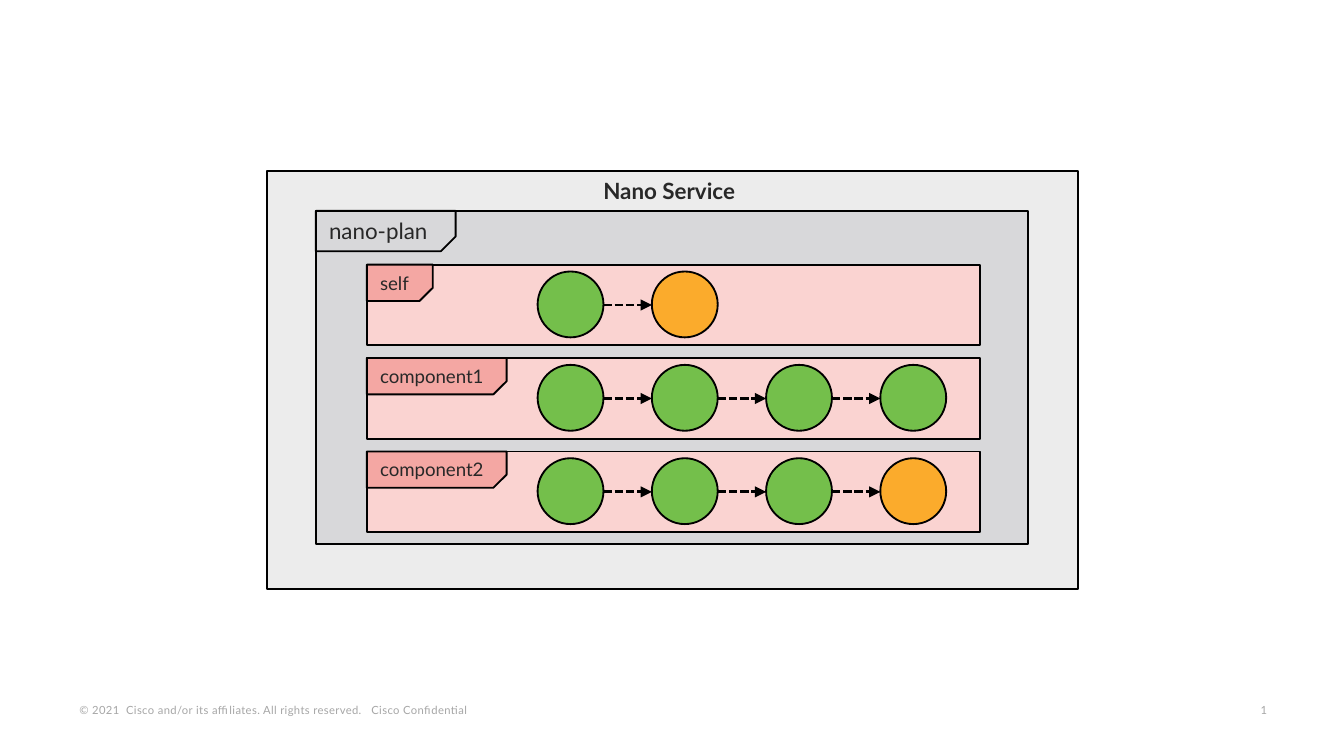
from pptx import Presentation
from pptx import util as u
from pptx.dml.color import RGBColor
from pptx.enum import dml, shapes, text
from pptx.oxml.ns import qn
from lxml import etree

COLORS = {
    "ink": "282828", "line": "000000", "footer": "A6A6A6",
    "service": "ECECEC", "plan": "D8D8DA", "row": "FAD3D1", "tab": "F4A7A3",
    "done": "74BF4B", "waiting": "FBAB2C",
}
FONT = "Lato"
SNIP = 0.364
ROW_HEIGHT, ROW_PITCH = 0.6, 1.39 / 2
CIRCLE, CIRCLE_PITCH = 0.49, 0.85
COMPONENTS = [
    ("self", 0.49, ["done", "waiting"]),
    ("component1", 1.04, ["done"] * 4),
    ("component2", 1.04, ["done"] * 3 + ["waiting"]),
]


def color(name):
    return RGBColor.from_string(COLORS[name])


def add_shape(page, kind, left, top, width, height, fill=None):
    shape = page.shapes.add_shape(kind, *map(u.Inches, (left, top, width, height)))
    shape.shadow.inherit = False
    if fill:
        shape.fill.solid()
        shape.fill.fore_color.rgb = color(fill)
    else:
        shape.fill.background()
    shape.line.color.rgb = color("line")
    shape.line.width = u.Pt(1)
    return shape


def add_text(page, words, left, top, width, height, size, ink="ink", bold=False, wrap=False):
    box = page.shapes.add_textbox(*map(u.Inches, (left, top, width, height)))
    frame = box.text_frame
    frame.word_wrap = wrap
    frame.text = words
    span = frame.paragraphs[0].runs[0]
    span.font.name = FONT
    span.font.size = u.Pt(size)
    span.font.bold = bold
    span.font.color.rgb = color(ink)
    return box


def add_tab(page, words, left, top, width, height, size, fill=None):
    tab = add_shape(page, shapes.MSO_SHAPE.SNIP_1_RECTANGLE, left, top, width, height, fill)
    tab.adjustments[0] = SNIP
    tab._element.spPr.find(qn("a:xfrm")).set("flipV", "1")
    add_text(page, words, left, top, width, height, size)


def add_arrow(page, left, right, middle):
    arrow = page.shapes.add_connector(
        shapes.MSO_CONNECTOR.STRAIGHT, *map(u.Inches, (left, middle, right, middle)))
    arrow.line.color.rgb = color("line")
    arrow.line.width = u.Pt(1.5)
    arrow.line.dash_style = dml.MSO_LINE.SQUARE_DOT
    properties = arrow._element.spPr
    etree.SubElement(properties.find(qn("a:ln")), qn("a:tailEnd"), type="triangle")
    etree.SubElement(properties, qn("a:effectLst"))


def add_component(page, left, top, width, name, tab_width, states):
    add_shape(page, shapes.MSO_SHAPE.RECTANGLE, left, top, width, ROW_HEIGHT, "row")
    add_tab(page, name, left, top, tab_width, 0.27, 10, "tab")
    circle_top = top + 0.05
    for index, state in enumerate(states):
        circle_left = left + 1.27 + index * CIRCLE_PITCH
        add_shape(page, shapes.MSO_SHAPE.OVAL, circle_left, circle_top, CIRCLE, CIRCLE, state)
        if index:
            add_arrow(page, circle_left - CIRCLE_PITCH + CIRCLE, circle_left, top + ROW_HEIGHT / 2)


def add_plan(page, left, top, width, height):
    add_shape(page, shapes.MSO_SHAPE.RECTANGLE, left, top, width, height, "plan")
    add_tab(page, "nano-plan", left, top, 1.04, 0.3, 12)
    for index, component in enumerate(COMPONENTS):
        add_component(page, left + 0.38, top + 0.4 + index * ROW_PITCH, 4.56, *component)


def add_service(page, left, top, width, height):
    add_shape(page, shapes.MSO_SHAPE.RECTANGLE, left, top, width, height, "service")
    add_text(page, "Nano Service", left + 2.4, top, 1.22, 0.3, 12, bold=True)
    add_plan(page, left + 0.36, top + 0.3, 5.3, 2.48)


def add_footer(page, left, top, width, height):
    notice = "© 2021  Cisco and/or its affiliates. All rights reserved.   Cisco Confidential"
    number_width = 0.24
    parts = [
        (notice, left, 3.72, True),
        ("1", left + width - number_width, number_width, False),
    ]
    for words, part_left, part_width, wrap in parts:
        box = add_text(page, words, part_left, top, part_width, height, 6, "footer", wrap=wrap)
        frame = box.text_frame
        frame.vertical_anchor = text.MSO_ANCHOR.BOTTOM
        frame.margin_left = frame.margin_right = u.Inches(0.07)
        frame.margin_top = frame.margin_bottom = u.Inches(0.03)
        frame.paragraphs[0].runs[0].font._element.set("spc", "20")


def main():
    deck = Presentation()
    deck.slide_width = u.Inches(10)
    deck.slide_height = int(deck.slide_width * 9 / 16)
    page = deck.slides.add_slide(deck.slide_layouts[6])
    add_footer(page, 0.52, 5.19, 9.03, 0.17)
    add_service(page, 1.99, 1.27, 6.03, 3.11)
    deck.save("out.pptx")


if __name__ == "__main__":
    main()
